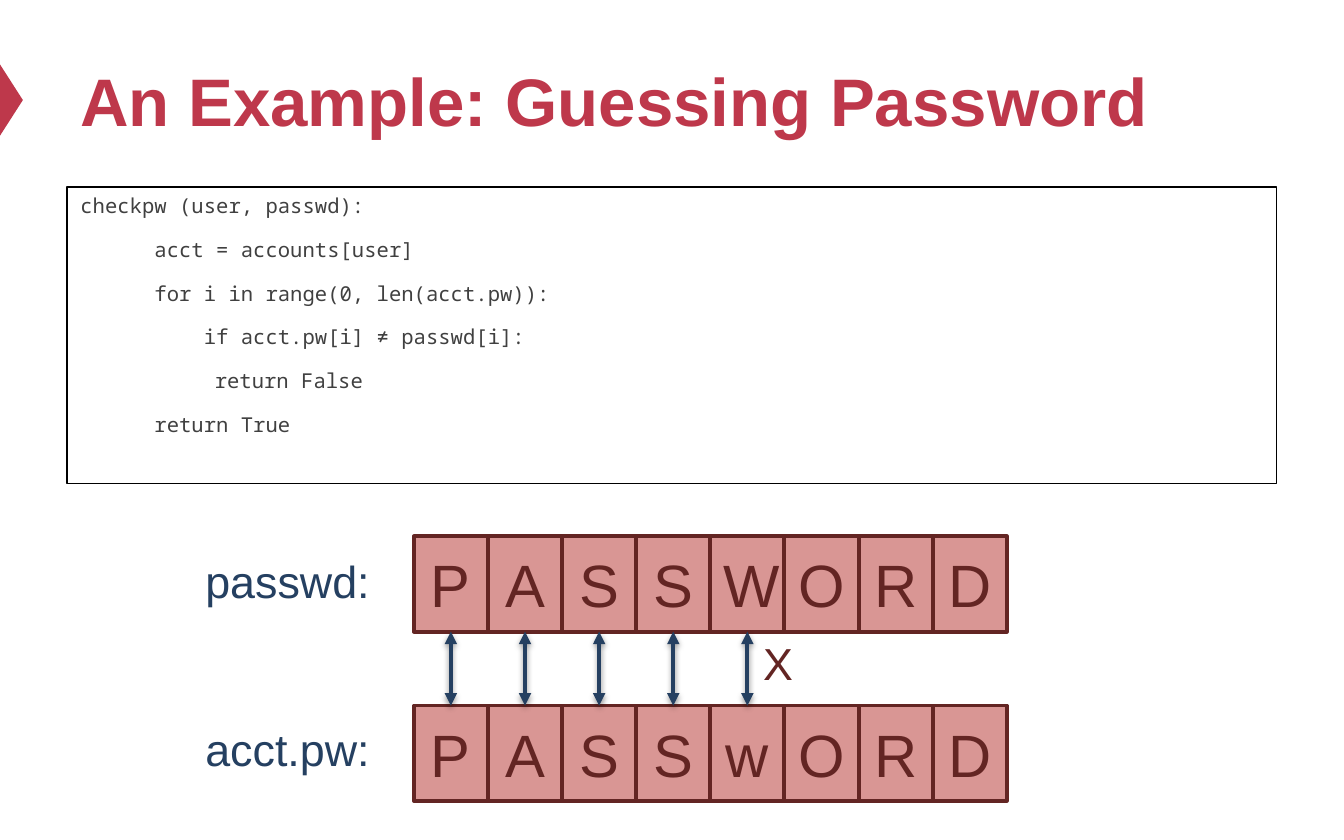
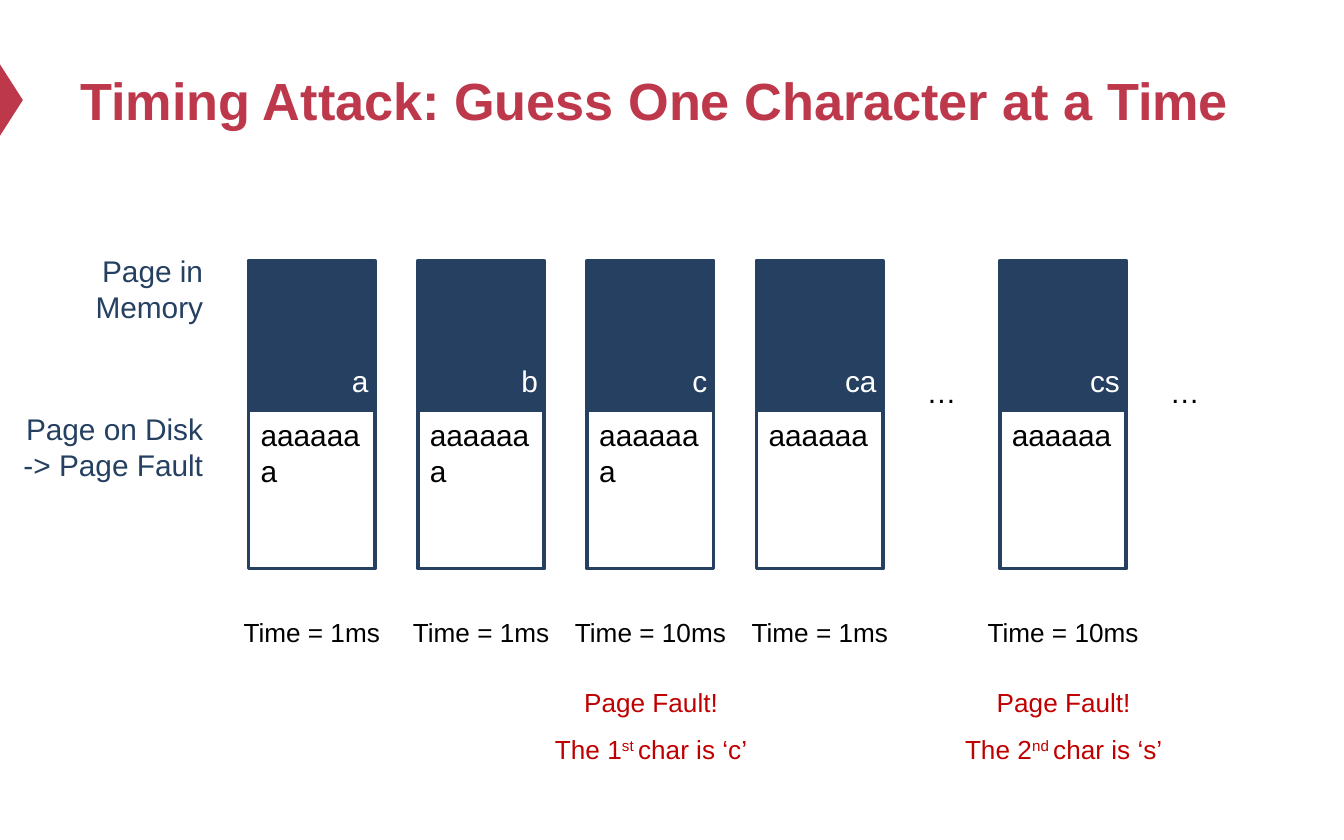
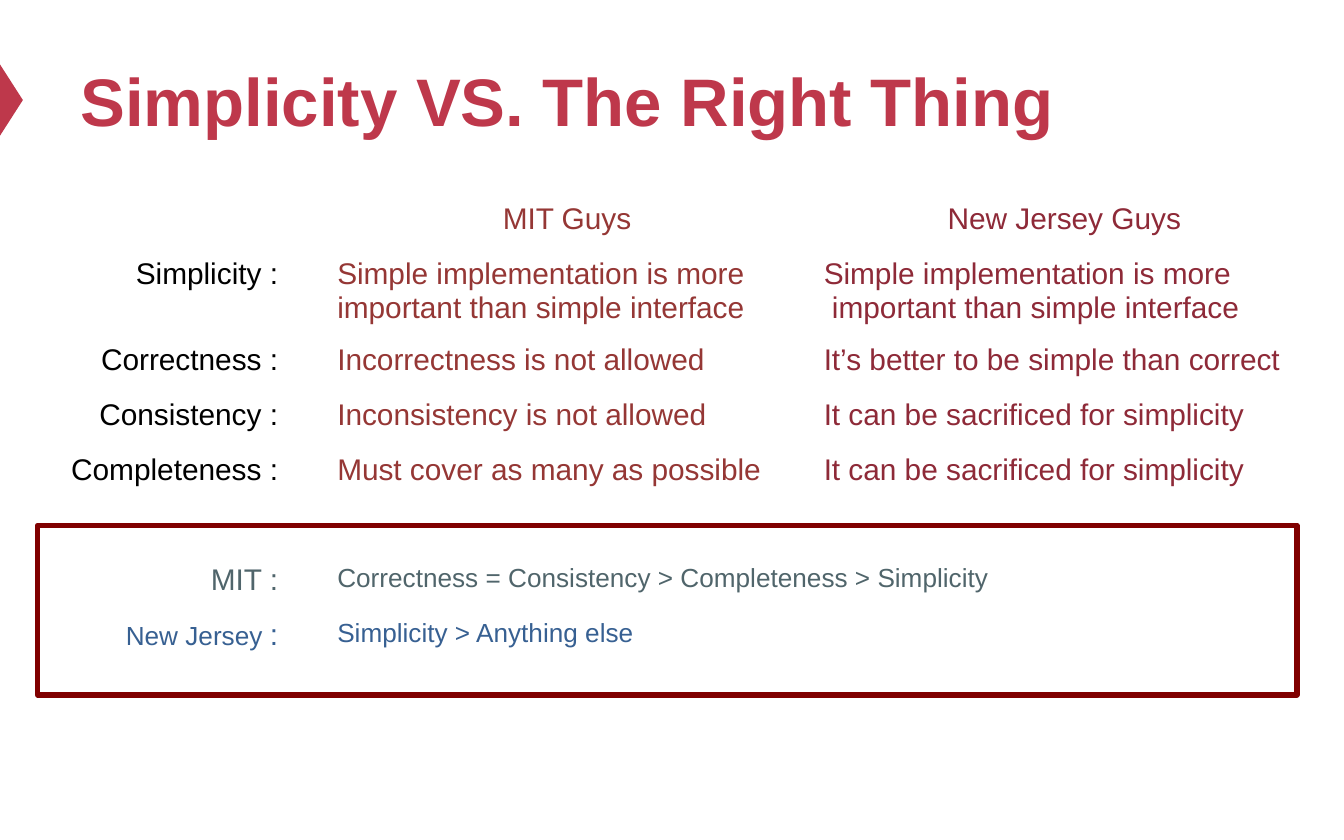
"""Build three slides on password timing attacks and design style."""
from dataclasses import dataclass
from typing import NamedTuple

from lxml.etree import SubElement
from pptx import Presentation
from pptx.dml.color import RGBColor
from pptx.enum.shapes import MSO_CONNECTOR, MSO_SHAPE
from pptx.enum.text import MSO_ANCHOR, MSO_AUTO_SIZE, PP_ALIGN
from pptx.oxml.ns import qn
from pptx.util import Inches, Pt

HUES = {
    "brand": "BE384B", "black": "000000", "white": "FFFFFF", "code": "404040",
    "navy": "254061", "rose": "D99694", "wine": "632523", "alert": "C00000",
    "brick": "953735", "berry": "8E2A38", "slate": "50656B", "blue": "376092",
    "frame": "800000",
}
LEFT, MID, RIGHT = PP_ALIGN.LEFT, PP_ALIGN.CENTER, PP_ALIGN.RIGHT
CODE = [
    "checkpw (user, passwd):",
    "      acct = accounts[user]",
    "      for i in range(0, len(acct.pw)):",
    "          if acct.pw[i] ≠ passwd[i]:",
    "          \treturn False",
    "      return True",
]


class Area(NamedTuple):
    left: float
    top: float
    width: float
    height: float


class Run(NamedTuple):
    text: str
    size: float = 0
    base: int = 0


@dataclass
class Style:
    size: float = 16
    hue: str = "black"
    align: PP_ALIGN = LEFT
    name: str = "Arial"
    bold: bool = False
    before: float = 0
    space: float = 1.0


@dataclass
class Page:
    left: float
    guess: str
    rest: str
    time: str
    note: tuple = ()


def color(hue: str) -> RGBColor:
    return RGBColor.from_string(HUES[hue])


def place(area: Area) -> list:
    return [Inches(value) for value in area]


def apply(target, values: dict) -> None:
    for key, value in values.items():
        setattr(target, key, value)


def write(frame, lines: list, style: Style) -> None:
    for order, line in enumerate(lines):
        para = frame.paragraphs[0] if order == 0 else frame.add_paragraph()
        apply(para, {"alignment": style.align, "line_spacing": style.space,
                     "space_before": Pt(style.before if order else 0)})
        for part in [Run(line)] if isinstance(line, str) else line:
            run = para.add_run()
            run.text = part.text
            apply(run.font, {"size": Pt(part.size or style.size),
                             "name": style.name, "bold": style.bold})
            run.font.color.rgb = color(style.hue)
            if part.base:
                run._r.get_or_add_rPr().set("baseline", str(part.base * 1000))


def add_text(slide, area: Area, lines: list, style: Style, wrap: bool = True) -> None:
    frame = slide.shapes.add_textbox(*place(area)).text_frame
    apply(frame, {"word_wrap": wrap, "auto_size": MSO_AUTO_SIZE.SHAPE_TO_FIT_TEXT})
    write(frame, lines, style)


def add_box(slide, area: Area, fill: str = "", line: str = "", width: float = 2,
            kind: MSO_SHAPE = MSO_SHAPE.RECTANGLE):
    box = slide.shapes.add_shape(kind, *place(area))
    box.shadow.inherit = False
    if fill:
        box.fill.solid()
        box.fill.fore_color.rgb = color(fill)
    else:
        box.fill.background()
    if line:
        box.line.color.rgb = color(line)
        box.line.width = Pt(width)
    else:
        box.line.fill.background()
    return box


def add_slide(deck, title: str, size: float = 36):
    slide = deck.slides.add_slide(deck.slide_layouts[6])
    mark = add_box(slide, Area(-0.18, 0.66, 0.53, 0.17), "brand",
                   kind=MSO_SHAPE.ISOSCELES_TRIANGLE)
    mark.rotation = 90
    frame = slide.shapes.add_textbox(*place(Area(0.5, 0.25, 9, 0.98))).text_frame
    apply(frame, {"word_wrap": True, "vertical_anchor": MSO_ANCHOR.MIDDLE})
    write(frame, [title], Style(size, "brand", bold=True))
    return slide


def add_word(slide, word: str, top: float) -> list:
    boxes = []
    for order, char in enumerate(word):
        box = add_box(slide, Area(3.08 + 0.5515 * order, top, 0.55, 0.71), "rose", "wine")
        box.text_frame.vertical_anchor = MSO_ANCHOR.MIDDLE
        write(box.text_frame, [char], Style(32, "wine", MID))
        boxes.append(box)
    return boxes


def add_arrow(slide, upper, lower) -> None:
    arrow = slide.shapes.add_connector(MSO_CONNECTOR.STRAIGHT, 0, 0, 0, 0)
    arrow.begin_connect(upper, 2)
    arrow.end_connect(lower, 0)
    arrow.line.color.rgb = color("navy")
    arrow.line.width = Pt(2.25)
    props = arrow._element.spPr
    for end in ("a:headEnd", "a:tailEnd"):
        SubElement(props.find(qn("a:ln")), qn(end), type="triangle")
    glow = SubElement(SubElement(props, qn("a:effectLst")), qn("a:outerShdw"),
                      blurRad=str(Pt(3.1)), dist=str(Pt(1.6)), dir="5400000", rotWithShape="0")
    shade = SubElement(glow, qn("a:srgbClr"), val=HUES["black"])
    SubElement(shade, qn("a:alpha"), val="38000")


def guess_slide(deck) -> None:
    slide = add_slide(deck, "An Example: Guessing Password")
    box = add_box(slide, Area(0.5, 1.39, 9, 2.21), line="black", width=0.75)
    box.text_frame.vertical_anchor = MSO_ANCHOR.TOP
    write(box.text_frame, CODE, Style(11, "code", name="Noto Sans Mono", before=10.2))
    lower = add_word(slide, "PASSwORD", 5.25)
    upper = add_word(slide, "PASSWORD", 3.99)
    for text, top in (("passwd:", 4.07), ("acct.pw:", 5.32)):
        add_text(slide, Area(1.43, top, 1.44, 0.5), [text], Style(24, "navy"), False)
    for pair in list(zip(upper, lower))[:5]:
        add_arrow(slide, *pair)
    add_text(slide, Area(5.58, 4.68, 0.43, 0.5), ["X"], Style(24, "wine"), False)


def add_page(slide, page: Page) -> None:
    left = page.left
    add_box(slide, Area(left, 1.94, 0.94, 1.1), "navy", "navy")
    add_box(slide, Area(left, 3.05, 0.94, 1.18), line="navy")
    add_text(slide, Area(left + 0.27, 2.65, 0.72, 0.37), [page.guess],
             Style(hue="white", align=RIGHT))
    add_text(slide, Area(left - 0.01, 3.05, 1.02, 0.64), [page.rest], Style())
    add_text(slide, Area(left - 0.24, 4.54, 1.42, 0.34), [f"Time = {page.time}"],
             Style(14, align=MID))
    if page.note:
        count, rank, char = page.note
        fact = [Run(f"The {count}"), Run(f"{rank} ", base=30), Run(f"char is ‘{char}’")]
        add_text(slide, Area(left - 0.39, 4.94, 1.73, 0.77), ["Page Fault!", fact],
                 Style(14, "alert", MID, space=1.5))


def timing_slide(deck) -> None:
    slide = add_slide(deck, "Timing Attack: Guess One Character at a Time", 28)
    start, step = 1.85, 1.26
    pages = [
        Page(start, "a", "aaaaaaa", "1ms"),
        Page(start + step, "b", "aaaaaaa", "1ms"),
        Page(start + 2 * step, "c", "aaaaaaa", "10ms", ("1", "st", "c")),
        Page(start + 3 * step, "ca", "aaaaaa", "1ms"),
        Page(7.44, "cs", "aaaaaa", "10ms", ("2", "nd", "s")),
    ]
    for page in pages:
        add_page(slide, page)
    for page in pages[-2:]:
        add_text(slide, Area(page.left + 0.94, 2.73, 0.87, 0.37), ["…"], Style(align=MID))
    label = Style(hue="navy", align=RIGHT)
    add_text(slide, Area(0.35, 1.83, 1.26, 0.64), ["Page in Memory"], label)
    add_text(slide, Area(0, 3.01, 1.61, 0.64), ["Page on Disk -> Page Fault"], label)


def design_slide(deck) -> None:
    slide = add_slide(deck, "Simplicity VS. The Right Thing")
    table = slide.shapes.add_table(8, 4, *place(Area(0.2, 1.46, 9.61, 3.46))).table
    apply(table, {"first_row": False, "horz_banding": False})
    for column, width in zip(table.columns, (1.97, 0.24, 3.62, 3.78)):
        column.width = Inches(width)
    for order, row in enumerate(table.rows):
        row.height = Inches(0.59 if order == 1 else 0.41)
        for cell in row.cells:
            cell.fill.background()
    simple = "It can be sacrificed for simplicity"
    rows = [
        ("", "MIT Guys", "New Jersey Guys"),
        ("Simplicity :", "Simple implementation is more\vimportant than simple interface",
         "Simple implementation is more\v important than simple interface"),
        ("Correctness :", "Incorrectness is not allowed",
         "It’s better to be simple than correct"),
        ("Consistency :", "Inconsistency is not allowed", simple),
        ("Completeness :", "Must cover as many as possible", simple),
    ]
    for order, (label, left, right) in enumerate(rows):
        align = LEFT if order else MID
        if label:
            write(table.cell(order, 0).text_frame, [label], Style(align=RIGHT))
        for column, text, hue in ((2, left, "brick"), (3, right, "berry")):
            add_lines(table.cell(order, column).text_frame, text, Style(16, hue, align))
    ranks = [
        ([Run("MIT :")], "Correctness = Consistency > Completeness > Simplicity", "slate"),
        ([Run("New Jersey ", 14), Run(":")], "Simplicity > Anything else", "blue"),
    ]
    for order, (label, text, hue) in enumerate(ranks, 6):
        table.cell(order, 2).merge(table.cell(order, 3))
        write(table.cell(order, 0).text_frame, [label], Style(16, hue, RIGHT))
        write(table.cell(order, 2).text_frame, [text], Style(14, hue))
    add_box(slide, Area(0.28, 3.91, 9.37, 1.26), line="frame", width=3)


def add_lines(frame, text: str, style: Style) -> None:
    first, *others = text.split("\v")
    write(frame, [first], style)
    for other in others:
        para = frame.paragraphs[0]
        para.add_line_break()
        run = para.add_run()
        run.text = other
        apply(run.font, {"size": Pt(style.size), "name": style.name, "bold": style.bold})
        run.font.color.rgb = color(style.hue)


def main() -> None:
    deck = Presentation()
    apply(deck, {"slide_width": Inches(10), "slide_height": Inches(6.25)})
    guess_slide(deck)
    timing_slide(deck)
    design_slide(deck)
    deck.save("out.pptx")


if __name__ == "__main__":
    main()
